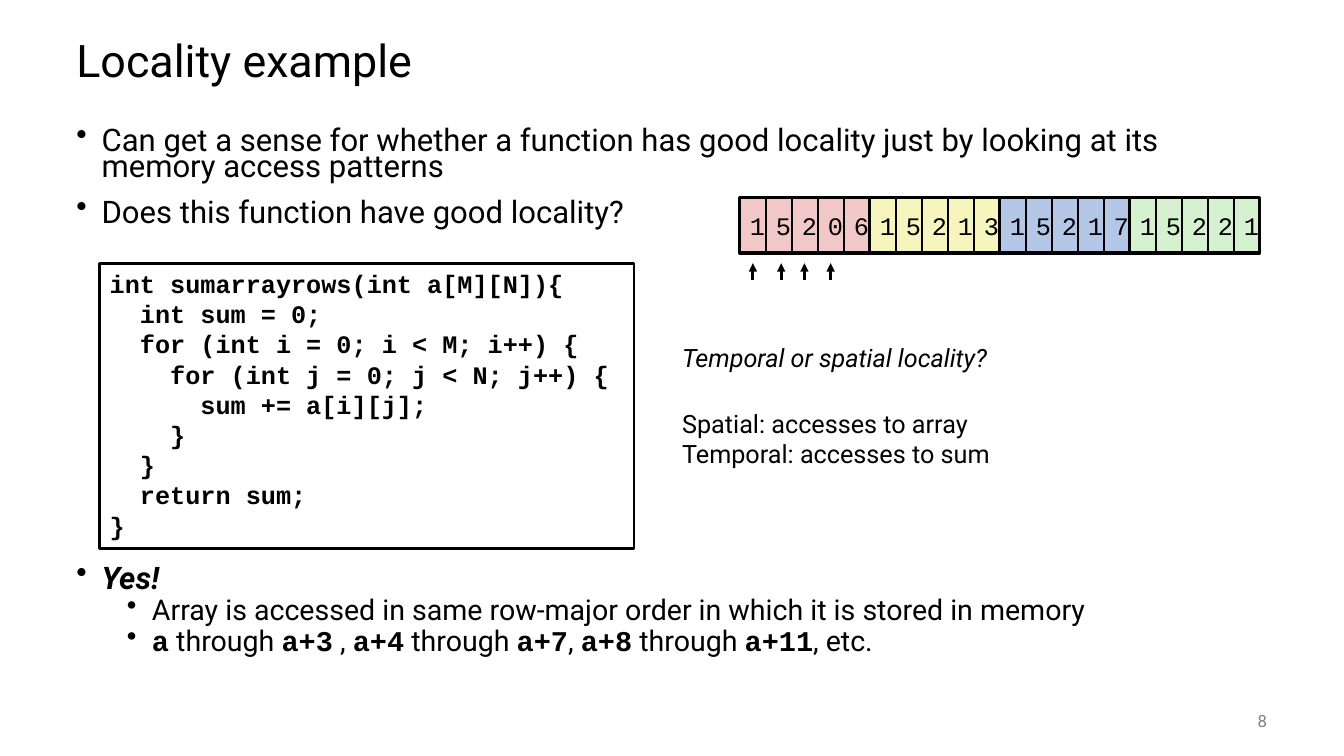
from dataclasses import dataclass

from pptx import Presentation
from pptx.dml.color import RGBColor
from pptx.enum.shapes import MSO_CONNECTOR, MSO_SHAPE
from pptx.enum.text import MSO_ANCHOR, PP_ALIGN
from pptx.oxml.ns import qn
from pptx.oxml.xmlchemy import OxmlElement
from pptx.util import Pt


@dataclass(frozen=True)
class Theme:
    body_font: str = "Roboto"
    code_font: str = "Courier New"
    ink: str = "000000"
    muted: str = "808080"
    title_size: float = 32
    bullet_size: float = 22.2
    detail_size: float = 20.4
    text_size: float = 18
    number_size: float = 12


@dataclass(frozen=True)
class Box:
    left: float
    top: float
    width: float
    height: float


@dataclass(frozen=True)
class Style:
    size: float
    font: str = Theme.body_font
    color: str = Theme.ink
    bold: bool = False
    italic: bool = False


@dataclass(frozen=True)
class Bullet:
    runs: list[tuple[str, Style]]
    level: int = 0


@dataclass(frozen=True)
class ArrayRow:
    digits: str
    color: str


THEME = Theme()
TITLE = Style(THEME.title_size)
POINT = Style(THEME.bullet_size)
ANSWER = Style(THEME.bullet_size, bold=True, italic=True)
DETAIL = Style(THEME.detail_size)
ADDRESS = Style(THEME.detail_size, THEME.code_font, bold=True)
CODE = Style(THEME.text_size, THEME.code_font, bold=True)
DIGIT = Style(THEME.text_size, THEME.code_font)
NOTE = Style(THEME.text_size)
QUESTION = Style(THEME.text_size, italic=True)
NUMBER = Style(THEME.number_size, color=THEME.muted)

OPENING_BULLETS = [
    Bullet([("Can get a sense for whether a function has good locality "
             "just by looking at its memory access patterns", POINT)]),
    Bullet([("Does this function have good locality?", POINT)]),
]
ANSWER_BULLETS = [
    Bullet([("Yes!", ANSWER)]),
    Bullet([("Array is accessed in same row-major order in which it is "
             "stored in memory", DETAIL)], level=1),
    Bullet([("a", ADDRESS), (" through ", DETAIL), ("a+3", ADDRESS),
            (" , ", DETAIL), ("a+4", ADDRESS), (" through ", DETAIL),
            ("a+7", ADDRESS), (", ", DETAIL), ("a+8", ADDRESS),
            (" through ", DETAIL), ("a+11", ADDRESS), (", etc.", DETAIL)], level=1),
]
CODE_LINES = [
    "int sumarrayrows(int a[M][N]){",
    "  int sum = 0;",
    "  for (int i = 0; i < M; i++) {",
    "    for (int j = 0; j < N; j++) {",
    "      sum += a[i][j];",
    "    }",
    "  }",
    "  return sum;",
    "}",
]
ARRAY_ROWS = [
    ArrayRow("15206", "F1C7C7"),
    ArrayRow("15213", "F6F5BD"),
    ArrayRow("15217", "B4C7E7"),
    ArrayRow("15221", "D5F1CF"),
]
ARRAY_LEFT, ARRAY_TOP = 528.5, 141.1
CELL_WIDTH, CELL_HEIGHT = 18.57, 39.6
ACCESS_POSITIONS = [537.8, 558, 574.6, 593.3]


def add_run(paragraph, text: str, style: Style) -> None:
    run = paragraph.add_run()
    run.text = text
    run.font.name = style.font
    run.font.size = Pt(style.size)
    run.font.bold = style.bold
    run.font.italic = style.italic
    run.font.color.rgb = RGBColor.from_string(style.color)


def write_lines(frame, lines: list[str], style: Style, align=PP_ALIGN.LEFT) -> None:
    for index, text in enumerate(lines):
        paragraph = frame.add_paragraph() if index else frame.paragraphs[0]
        paragraph.alignment = align
        add_run(paragraph, text, style)


def add_text_box(shapes, box: Box, anchor=MSO_ANCHOR.TOP):
    shape = shapes.add_textbox(Pt(box.left), Pt(box.top), Pt(box.width), Pt(box.height))
    shape.text_frame.word_wrap = True
    shape.text_frame.vertical_anchor = anchor
    return shape.text_frame


def add_bullets(shapes, box: Box, bullets: list[Bullet]) -> None:
    frame = add_text_box(shapes, box)
    for index, bullet in enumerate(bullets):
        paragraph = frame.add_paragraph() if index else frame.paragraphs[0]
        properties = paragraph._p.get_or_add_pPr()
        properties.set("marL", str(Pt(18 + 36 * bullet.level)))
        properties.set("indent", str(-Pt(18)))
        mark = OxmlElement("a:buChar")
        mark.set("char", "•")
        properties.append(mark)
        paragraph.level = bullet.level
        paragraph.line_spacing = 0.7
        if index:
            paragraph.space_before = Pt(5 if bullet.level else 14)
        for text, style in bullet.runs:
            add_run(paragraph, text, style)


def add_rectangle(shapes, box: Box, line_width: float, fill: str | None = None):
    shape = shapes.add_shape(MSO_SHAPE.RECTANGLE, Pt(box.left), Pt(box.top),
                             Pt(box.width), Pt(box.height))
    shape.shadow.inherit = False
    if fill:
        shape.fill.solid()
        shape.fill.fore_color.rgb = RGBColor.from_string(fill)
    else:
        shape.fill.background()
    shape.line.color.rgb = RGBColor.from_string(THEME.ink)
    shape.line.width = Pt(line_width)
    return shape


def add_access_arrow(shapes, center: float) -> None:
    arrow = shapes.add_connector(MSO_CONNECTOR.STRAIGHT, Pt(center), Pt(200),
                                 Pt(center), Pt(188))
    arrow.line.color.rgb = RGBColor.from_string(THEME.ink)
    arrow.line.width = Pt(2)
    properties = arrow._element.spPr
    arrowhead = OxmlElement("a:tailEnd")
    arrowhead.set("type", "triangle")
    properties.find(qn("a:ln")).append(arrowhead)
    properties.append(OxmlElement("a:effectLst"))


def add_array(shapes) -> None:
    row_boxes = []
    for row_index, row in enumerate(ARRAY_ROWS):
        row_width = CELL_WIDTH * len(row.digits)
        row_left = ARRAY_LEFT + row_index * row_width
        row_boxes.append(Box(row_left, ARRAY_TOP, row_width, CELL_HEIGHT))
        for column, digit in enumerate(row.digits):
            cell_box = Box(row_left + column * CELL_WIDTH, ARRAY_TOP, CELL_WIDTH, CELL_HEIGHT)
            cell = add_rectangle(shapes, cell_box, 1, row.color)
            cell.text_frame.word_wrap = False
            cell.text_frame.vertical_anchor = MSO_ANCHOR.MIDDLE
            write_lines(cell.text_frame, [digit], DIGIT)
    for row_box in row_boxes:
        add_rectangle(shapes, row_box, 2.25)


def main() -> None:
    presentation = Presentation()
    presentation.slide_width, presentation.slide_height = Pt(960), Pt(540)
    slide = presentation.slides.add_slide(presentation.slide_layouts[6])
    shapes = slide.shapes

    # Title and bullets
    title = add_text_box(shapes, Box(47.5, 18, 864, 54), MSO_ANCHOR.MIDDLE)
    write_lines(title, ["Locality example"], TITLE)
    title.paragraphs[0].line_spacing = 0.9
    add_bullets(shapes, Box(47.5, 90, 864, 80), OPENING_BULLETS)
    add_bullets(shapes, Box(47.5, 402.5, 864, 83.5), ANSWER_BULLETS)

    # Code listing
    listing = add_rectangle(shapes, Box(71.3, 188, 381.6, 203.8), 2).text_frame
    listing.word_wrap = True
    listing.vertical_anchor = MSO_ANCHOR.TOP
    write_lines(listing, CODE_LINES, CODE)

    # Question and its answers
    write_lines(add_text_box(shapes, Box(480.2, 241.2, 244, 28.8)),
                ["Temporal or spatial locality?"], QUESTION)
    write_lines(add_text_box(shapes, Box(480.2, 288, 244, 51)),
                ["Spatial: accesses to array", "Temporal: accesses to sum"], NOTE)

    # Array in memory, with the first accesses
    array_group = shapes.add_group_shape()
    add_array(array_group.shapes)
    for center in ACCESS_POSITIONS:
        add_access_arrow(array_group.shapes, center)

    # Slide number
    number = add_text_box(shapes, Box(840.2, 500.4, 72, 28.8), MSO_ANCHOR.MIDDLE)
    write_lines(number, ["8"], NUMBER, PP_ALIGN.RIGHT)

    presentation.save("out.pptx")


if __name__ == "__main__":
    main()
